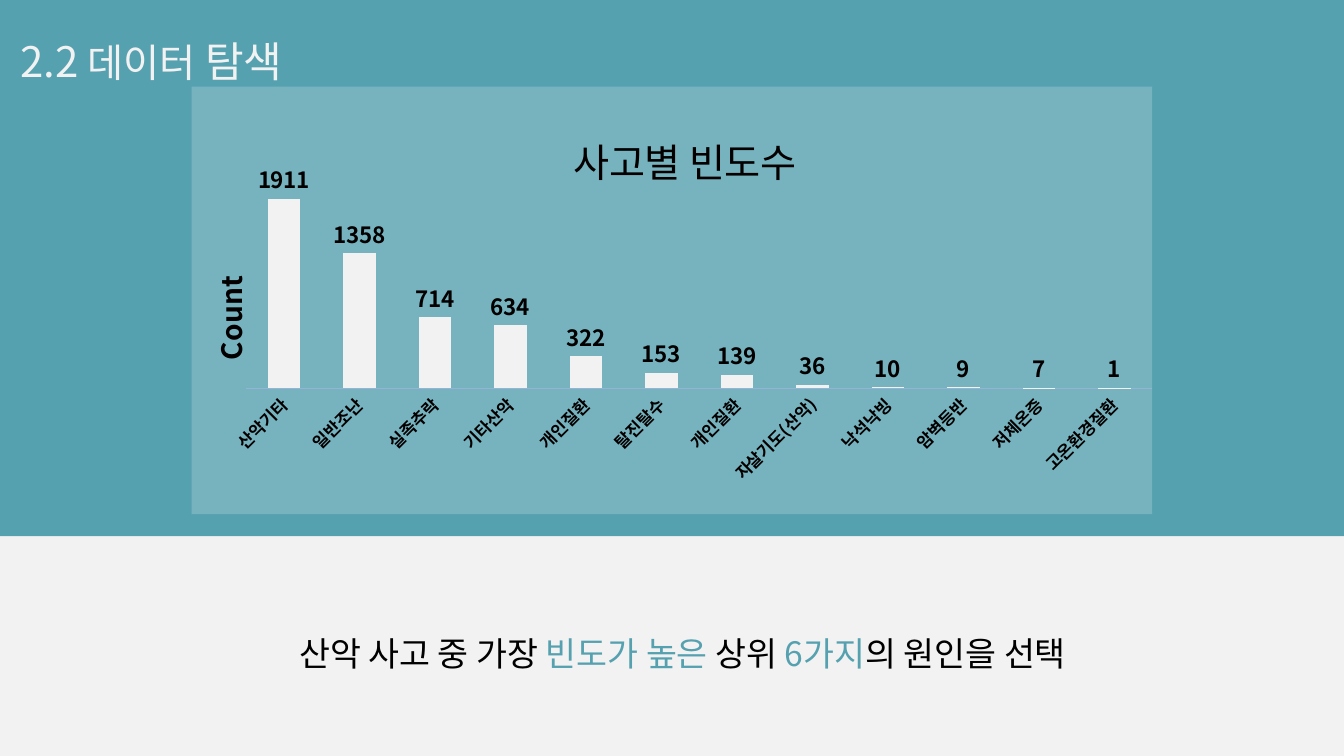
from dataclasses import dataclass

from lxml.etree import SubElement
from pptx import Presentation
from pptx.chart.data import CategoryChartData
from pptx.dml.color import RGBColor
from pptx.enum.chart import XL_CHART_TYPE as ChartType
from pptx.enum.chart import XL_LABEL_POSITION as LabelPosition
from pptx.enum.chart import XL_TICK_LABEL_POSITION as TickLabels
from pptx.enum.chart import XL_TICK_MARK as TickMark
from pptx.enum.shapes import MSO_SHAPE as Shape
from pptx.enum.text import MSO_ANCHOR as Anchor
from pptx.enum.text import MSO_AUTO_SIZE as AutoSize
from pptx.enum.text import PP_ALIGN as Align
from pptx.oxml import parse_xml
from pptx.oxml.ns import nsdecls, qn
from pptx.util import Inches, Pt


@dataclass(frozen=True)
class Theme:
    teal: str = "56A1B0"
    pale: str = "F2F2F2"
    ink: str = "000000"
    panel: str = "FFFFFF"
    axis: str = "95B3D7"
    font: str = "Noto Sans CJK KR"
    chart_font: str = "Calibri"
    heading: int = 30
    heading_small: int = 28
    caption: int = 24
    axis_title: int = 20
    value: int = 16
    category: int = 12
    chart_base: int = 10


class SlideBuilder:
    """Places elements by percentages of the slide's width and height."""

    def __init__(self, presentation, theme):
        self.presentation, self.theme = presentation, theme
        self.slide = presentation.slides.add_slide(presentation.slide_layouts[5])
        self.paint(self.slide.background.fill, theme.pale)

    def paint(self, fill, color):
        fill.solid()
        fill.fore_color.rgb = RGBColor.from_string(color)

    def box(self, left, top, width, height):
        across, down = self.presentation.slide_width, self.presentation.slide_height
        return [round(share * side / 100) for share, side in
                ((left, across), (top, down), (width, across), (height, down))]

    def style(self, font, size, color, bold=False):
        font.size, font.bold, font.name = Pt(size), bold, self.theme.font
        self.paint(font.fill, color)
        SubElement(font._rPr, qn("a:ea")).set("typeface", self.theme.font)

    def fill_text(self, shape, parts, align):
        frame = shape.text_frame
        frame.word_wrap, frame.vertical_anchor = True, Anchor.TOP
        frame.auto_size = AutoSize.SHAPE_TO_FIT_TEXT
        paragraph = frame.paragraphs[0]
        paragraph.alignment, paragraph.line_spacing = align, 1.5
        for text, size, color in parts:
            run = paragraph.add_run()
            run.text = text
            self.style(run.font, size, color)

    def band(self, area, color):
        shape = self.slide.shapes.add_shape(Shape.RECTANGLE, *self.box(*area))
        shape.shadow.inherit = False
        self.paint(shape.fill, color)
        shape.line.fill.background()
        self.slide.shapes.title._element.addprevious(shape._element)

    def title(self, area, parts):
        title = self.slide.shapes.title
        title.left, title.top, title.width, title.height = self.box(*area)
        self.fill_text(title, parts, Align.LEFT)

    def caption(self, area, parts):
        shape = self.slide.shapes.add_textbox(*self.box(*area))
        self.fill_text(shape, parts, Align.CENTER)

    def layout(self, left, top, size=None):
        """Manual chart layout in shares of the chart area."""
        settings = [("xMode", "edge"), ("yMode", "edge"), ("x", left), ("y", top)]
        target = ""
        if size:
            target = '<c:layoutTarget val="inner"/>'
            settings += zip("wh", size)
        inner = "".join(f'<c:{name} val="{value}"/>' for name, value in settings)
        return parse_xml(f'<c:layout {nsdecls("c")}><c:manualLayout>{target}{inner}'
                         '</c:manualLayout></c:layout>')

    def place(self, element, position, layout):
        for old in element.findall(qn("c:layout")):
            element.remove(old)
        element.insert(position, layout)

    def chart_title(self, title, text, size, left, top, bold=False):
        title.text_frame.text = text
        self.style(title.text_frame.paragraphs[0].runs[0].font, size,
                   self.theme.ink, bold)
        self.place(title._element, 1, self.layout(left, top))

    def column_chart(self, area, heading, axis_heading, counts):
        theme = self.theme
        data = CategoryChartData()
        data.categories = [name for name, _ in counts]
        data.add_series("Series 1", [count for _, count in counts])
        chart = self.slide.shapes.add_chart(
            ChartType.COLUMN_CLUSTERED, *self.box(*area), data).chart

        # Panel and plot area
        chart.has_legend = False
        chart.font.size, chart.font.name = Pt(theme.chart_base), theme.chart_font
        self.paint(chart.font.fill, theme.ink)
        chart._chartSpace.find(qn("c:txPr")).addprevious(parse_xml(
            f'<c:spPr {nsdecls("c", "a")}><a:solidFill><a:srgbClr val="{theme.panel}">'
            '<a:alpha val="20000"/></a:srgbClr></a:solidFill>'
            '<a:ln><a:noFill/></a:ln></c:spPr>'))
        self.place(chart._chartSpace.chart.plotArea, 0,
                   self.layout(0.057, 0.125, (0.943, 0.581)))
        self.chart_title(chart.chart_title, heading, theme.heading_small, 0.39, 0.08)

        # Axes
        values, categories = chart.value_axis, chart.category_axis
        values.minimum_scale, values.maximum_scale = 0, 2500
        values.has_major_gridlines = False
        values.major_tick_mark = TickMark.NONE
        values.tick_label_position = TickLabels.NONE
        values.visible = False
        self.chart_title(values.axis_title, axis_heading, theme.axis_title,
                         0.01, 0.43, True)
        values.axis_title.text_frame._txBody.bodyPr.set("rot", "-5400000")
        categories.major_tick_mark = TickMark.NONE
        categories.format.line.width = Pt(0.25)
        self.paint(categories.format.line.fill, theme.axis)
        self.style(categories.tick_labels.font, theme.category, theme.ink, True)
        categories._element.find(qn("c:txPr")).find(qn("a:bodyPr")).set("rot", "-2700000")

        # Columns and their values
        plot = chart.plots[0]
        plot.gap_width, plot.overlap, plot.vary_by_categories = 133, 4, False
        series = plot.series[0]
        self.paint(series.format.fill, theme.pale)
        labels = series.data_labels
        labels.show_value, labels.position = True, LabelPosition.OUTSIDE_END
        self.style(labels.font, theme.value, theme.ink, True)


def main():
    presentation, theme = Presentation(), Theme()
    presentation.slide_width, presentation.slide_height = Inches(13.33), Inches(7.5)
    builder = SlideBuilder(presentation, theme)

    # Heading on the coloured band
    builder.band((0, 0, 100, 70.93), theme.teal)
    builder.title((0.75, 0.67, 40.14, 10.67), [
        ("2.2 ", theme.heading, theme.pale),
        ("데이터", theme.heading_small, theme.pale),
        (" 탐색", theme.heading, theme.pale)])

    # Conclusion
    builder.caption((16.95, 80.4, 67.67, 8.8), [
        (text, theme.caption, color) for text, color in (
            ("산악 사고 중 가장 ", theme.ink), ("빈도가 높은 ", theme.teal),
            ("상위 ", theme.ink), ("6가지", theme.teal),
            ("의 원인을 선택", theme.ink))])

    # Accident counts
    builder.column_chart((14.25, 11.47, 71.49, 56.53), "사고별 빈도수", "Count", [
        ("산악기타", 1911), ("일반조난", 1358), ("실족추락", 714), ("기타산악", 634),
        ("개인질환", 322), ("탈진탈수", 153), ("개인질환", 139), ("자살기도(산악)", 36),
        ("낙석낙빙", 10), ("암벽등반", 9), ("저체온증", 7), ("고온환경질환", 1)])

    presentation.save("out.pptx")


if __name__ == "__main__":
    main()
